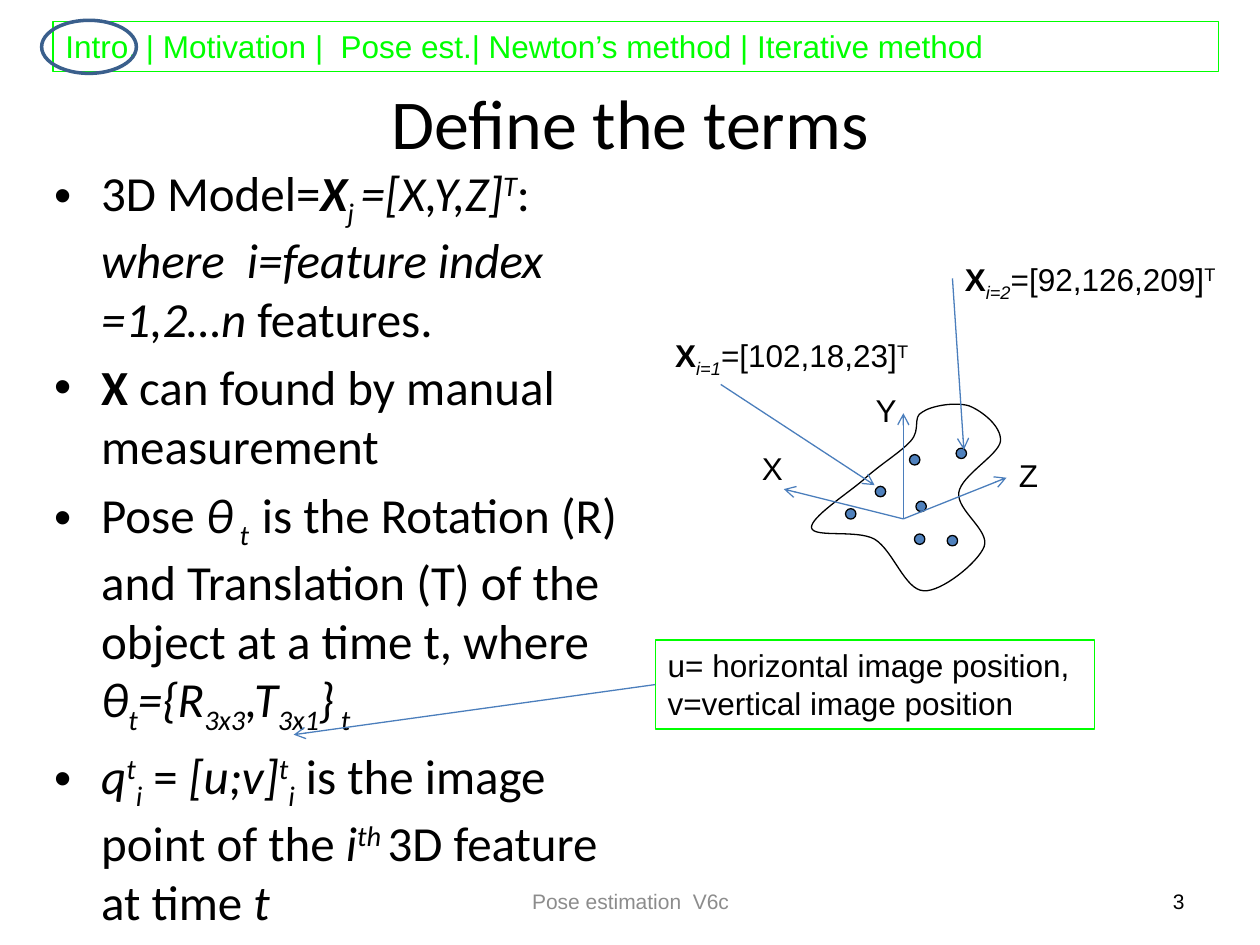
from lxml import etree
from pptx import Presentation
from pptx.dml.color import RGBColor as Rgb
from pptx.enum.shapes import MSO_CONNECTOR as Conn, MSO_SHAPE as Kind
from pptx.enum.text import MSO_ANCHOR as Anchor, PP_ALIGN as Align
from pptx.oxml.ns import qn
from pptx.util import Cm, Pt

COLORS = {"green": "00FF00", "black": "000000", "gray": "8C8C8C",
          "blue": "4F81BD", "arrow": "4B7EBC", "ring": "3A5F8C"}
BASE = {"_": "-25000", "^": "30000"}

LABEL = {"name": "Arial", "size": Pt(18)}
SMALL = {"name": "Arial", "size": Pt(12)}
TITLE = {"name": "Calibri", "size": Pt(40)}
BODY = {"name": "Calibri", "size": Pt(28)}

# Each run is (text, marks): b bold, i italic, _ subscript, ^ superscript.
POINTS = [
    [("3D Model=", ""), ("X", "bi"), ("j ", "i_"), ("=[X,Y,Z]", "i"),
     ("T", "i^"), (": ", ""), ("where  i=feature index =1,2…n", "i"),
     (" features.", "")],
    [("X", "b"), (" can found by manual measurement", "")],
    [("Pose ", ""), ("θ", "i"), (" t  ", "i_"),
     ("is the Rotation (R) and Translation (T) of the object at a time t, where ", ""),
     ("θ", "i"), ("t", "i_"), ("={R", "i"), ("3x3", "i_"), (",T", "i"),
     ("3x1", "i_"), ("}", "i"), (" t", "i_")],
    [("q", "i"), ("t", "i^"), ("i", "i_"), (" =", ""), (" [u;v]", "i"),
     ("t", "i^"), ("i", "i_"), (" is the image point of the ", ""),
     ("i", "i"), ("th ", "i^"), ("3D feature at time ", ""), ("t", "i")],
]

# Start point, then two handles and an end point for each curve.
CLOUD = [
    (18.36, 8.89),
    (18.16, 9.12), (17.73, 9.37), (17.4, 9.68),
    (17.07, 9.96), (16.33, 10.44), (16.36, 10.64),
    (16.4, 10.85), (17.27, 10.67), (17.63, 10.87),
    (18.01, 11.1), (18.24, 11.89), (18.62, 11.91),
    (18.97, 11.94), (19.71, 11.35), (19.84, 11.02),
    (19.96, 10.69), (19.28, 10.29), (19.33, 9.93),
    (19.38, 9.58), (20.14, 9.17), (20.17, 8.89),
    (20.19, 8.59), (19.79, 8.28), (19.53, 8.18),
    (19.25, 8.1), (18.77, 8.18), (18.59, 8.31),
    (18.39, 8.41), (18.57, 8.66), (18.36, 8.89),
]
DOTS = [(17.15, 10.36), (19.2, 10.9), (17.75, 9.91), (18.57, 10.21),
        (18.44, 9.27), (18.54, 10.87), (19.38, 9.14)]
DOT = 0.21
ORIGIN = (18.21, 10.46)
AXES = [("Y", (18.21, 8.33), (17.4, 7.75)),
        ("Z", (20.29, 9.63), (20.29, 9.07)),
        ("X", (15.8, 9.86), (15.11, 8.92))]
MARKS = [("i=1", "=[102,18,23]", (13.36, 6.65, 5.36, 1.02), (14.53, 7.75), (17.63, 9.78)),
         ("i=2", "=[92,126,209]", (19.2, 5.11, 5.72, 1.02), (19.2, 5.61), (19.43, 9.07))]


def color(name):
    return Rgb.from_string(COLORS[name])


def assign(item, values):
    for key, value in values.items():
        setattr(item, key, value)


class Pen:
    """Draws on the current host: the slide or a group on it."""

    def __init__(self, slide):
        self.slide = slide
        self.host = slide.shapes

    def paint(self, shape, line, fill=None, width=0.75):
        shape.shadow.inherit = False
        shape.line.color.rgb = color(line)
        shape.line.width = Pt(width)
        if fill:
            shape.fill.solid()
            shape.fill.fore_color.rgb = color(fill)
        else:
            shape.fill.background()
        return shape

    def shape(self, kind, area, line, fill=None, width=0.75):
        shape = self.host.add_shape(kind, *map(Cm, area))
        return self.paint(shape, line, fill, width)

    def letter(self, shape, paras, font, ink="black", align=Align.LEFT,
               anchor=Anchor.TOP, wrap=True, bullet=False):
        frame = shape.text_frame
        assign(frame, {"word_wrap": wrap, "vertical_anchor": anchor})
        for n, runs in enumerate(paras):
            para = frame.add_paragraph() if n else frame.paragraphs[0]
            para.alignment = align
            if bullet:
                self.bullet(para)
            for text, marks in runs:
                run = para.add_run()
                run.text = text
                assign(run.font, {**font, "bold": "b" in marks, "italic": "i" in marks})
                run.font.color.rgb = color(ink)
                for mark in BASE.keys() & set(marks):
                    run.font._element.set("baseline", BASE[mark])

    def bullet(self, para):
        para.space_before = Pt(5.6)
        props = para._p.get_or_add_pPr()
        props.set("marL", str(Cm(0.95)))
        props.set("indent", str(-Cm(0.95)))
        etree.SubElement(props, qn("a:buFont")).set("typeface", "Arial")
        etree.SubElement(props, qn("a:buChar")).set("char", "•")

    def text(self, area, paras, font, **style):
        box = self.host.add_textbox(*map(Cm, area))
        self.letter(box, paras, font, **style)

    def arrow(self, start, end, source=None, side=1):
        line = self.host.add_connector(Conn.STRAIGHT, *map(Cm, start + end))
        if source is not None:
            line.begin_connect(source, side)
        line.line.color.rgb = color("arrow")
        line.line.width = Pt(0.75)
        props = line._element.spPr
        etree.SubElement(props.find(qn("a:ln")), qn("a:tailEnd")).set("type", "arrow")
        etree.SubElement(props, qn("a:effectLst"))

    def curve(self, points, line):
        """Draw a closed outline, turning each three points into one Bezier curve."""
        spots = [(Cm(x), Cm(y)) for x, y in points]
        form = self.host.build_freeform(*spots[0])
        form.add_line_segments(spots[1:], close=True)
        shape = self.paint(form.convert_to_shape(), line)
        steps = list(shape._element.iter(qn("a:lnTo")))
        for n in range(0, len(steps), 3):
            bend = etree.Element(qn("a:cubicBezTo"))
            steps[n].addprevious(bend)
            for step in steps[n:n + 3]:
                bend.append(step[0])
                step.getparent().remove(step)

    def model(self):
        self.host = self.slide.shapes.add_group_shape().shapes
        self.curve(CLOUD, "black")
        for x, y in DOTS:
            self.shape(Kind.OVAL, (x - DOT / 2, y - DOT / 2, DOT, DOT), "black", "blue")
        self.host = self.slide.shapes


def main():
    deck = Presentation()
    assign(deck, {"slide_width": Cm(25.4), "slide_height": Cm(19.05)})
    pen = Pen(deck.slides.add_slide(deck.slide_layouts[6]))

    menu = pen.shape(Kind.RECTANGLE, (1.07, 0.43, 23.5, 1.02), "green")
    pen.letter(menu, [[("Intro. | Motivation |  Pose est.| Newton’s method | Iterative method", "")]],
               LABEL, ink="green")
    pen.text((1.27, 1.27, 22.86, 2.34), [[("Define the terms", "")]], TITLE,
             align=Align.CENTER, anchor=Anchor.MIDDLE)
    pen.text((18.21, 17.65, 5.92, 1.02), [[("3", "")]], SMALL,
             align=Align.RIGHT, anchor=Anchor.MIDDLE)
    pen.model()
    pen.shape(Kind.OVAL, (0.84, 0.41, 1.91, 1.07), "ring", width=2)
    pen.text((0.84, 3.15, 12.27, 15.67), POINTS, BODY, bullet=True)

    for name, tip, spot in AXES:
        pen.arrow(ORIGIN, tip)
        pen.text(spot + (0.94, 1.02), [[(name, "")]], LABEL, wrap=False)
    for index, value, area, start, end in MARKS:
        pen.text(area, [[("X", "b"), (index, "i_"), (value, ""), ("T", "^")]],
                 LABEL, wrap=False)
        pen.arrow(start, end)

    note = pen.shape(Kind.RECTANGLE, (13.21, 12.9, 8.86, 1.8), "green")
    pen.letter(note, [[("u= horizontal image position,", "")],
                      [("v=vertical image position", "")]], LABEL, wrap=False)
    pen.arrow((13.21, 13.8), (5.92, 14.81), source=note)
    pen.text((8.69, 17.65, 8.05, 1.02), [[("Pose estimation  V6c", "")]], SMALL,
             ink="gray", align=Align.CENTER, anchor=Anchor.MIDDLE)
    deck.save("out.pptx")


if __name__ == "__main__":
    main()
